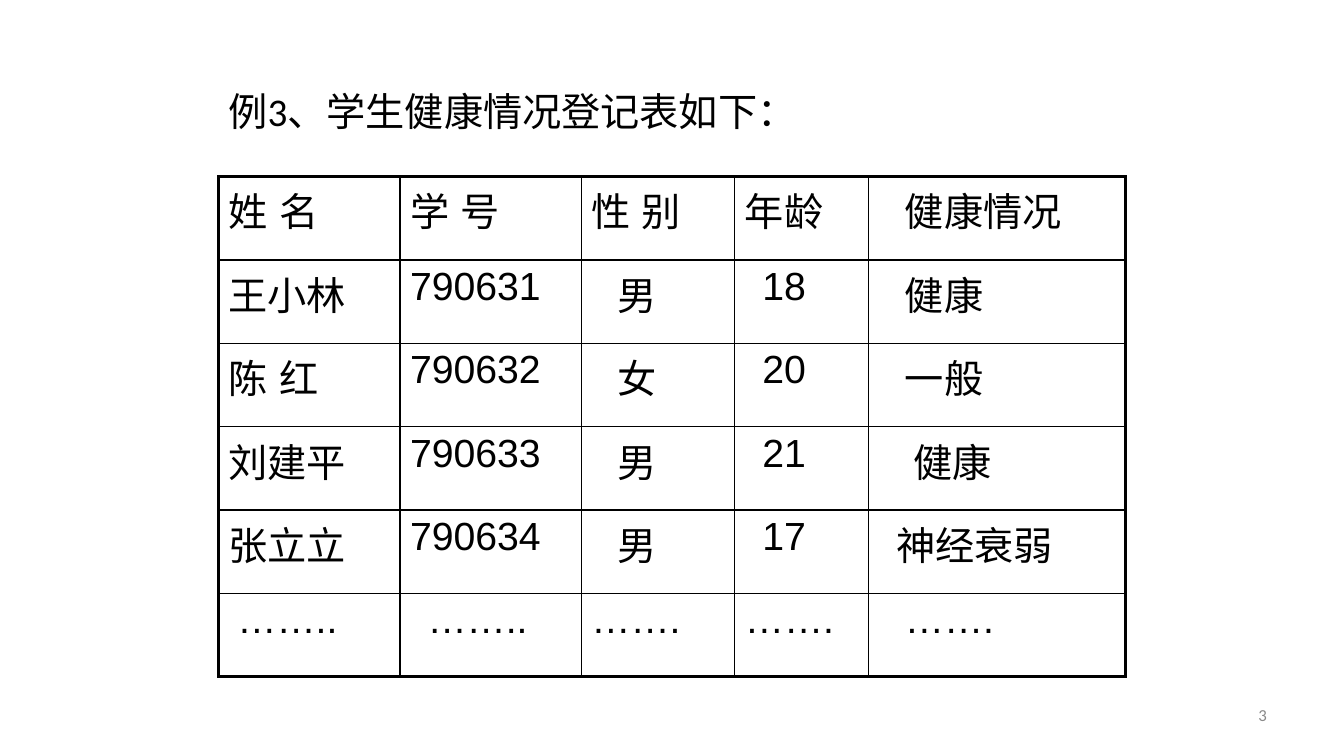
"""Build a slide with a table of student health records."""
from lxml import etree
from pptx import Presentation
from pptx import util as u
from pptx.dml import color
from pptx.enum import text
from pptx.oxml import ns


def style(paragraph, size, font_name, hex_colour):
    for run in paragraph.runs:
        run.font.size = u.Pt(size)
        run.font.name = font_name
        run.font.color.rgb = color.RGBColor.from_string(hex_colour)


def add_border(cell, side, position, width, hex_colour):
    line = etree.Element(ns.qn(f"a:ln{side}"), w=str(u.Pt(width)))
    fill = etree.SubElement(line, ns.qn("a:solidFill"))
    etree.SubElement(fill, ns.qn("a:srgbClr"), val=hex_colour)
    cell._tc.get_or_add_tcPr().insert(position, line)


BLACK, GREY = "000000", "898989"
SPACE_WIDTH = 0.22
CHARACTER_WIDTH = 0.99
COLUMN_WIDTHS = [4.57, 4.57, 3.87, 3.37, 6.48]
ROW_HEIGHT = 2.1
TAB_SPACES = {0: 3, 1: 4, 2: 3}

records = [
    ["姓\t名", "学\t号", "性\t别", "年龄", "健康情况"],
    ["王小林", "790631", "男", "18", "健康"],
    ["陈\t红", "790632", "女", "20", "一般"],
    ["刘建平", "790633", "男", "21", "健康"],
    ["张立立", "790634", "男", "17", "神经衰弱"],
    ["……..", "……..", "…….", "…….", "……."],
]
indents = [
    [0, 0, 0, 0, 3],
    [0, 0, 3, 2, 3],
    [0, 0, 3, 2, 3],
    [0, 0, 3, 2, 4],
    [0, 0, 3, 2, 2],
    [1, 2, 0, 0, 3],
]

presentation = Presentation()
presentation.slide_width = u.Cm(33.87)
presentation.slide_height = u.Cm(19.05)
slide = presentation.slides.add_slide(presentation.slide_layouts[6])

labels = [
    ("例3、学生健康情况登记表如下：", (5.51, 1.78, 22.86, 2.16), 28, BLACK, text.PP_ALIGN.LEFT, 0.9),
    ("3", (24.28, 17.35, 7.9, 1.32), 12, GREY, text.PP_ALIGN.RIGHT, 1.0),
]
for wording, place, size, colour, alignment, spacing in labels:
    frame = slide.shapes.add_textbox(*map(u.Cm, place)).text_frame
    frame.word_wrap = True
    frame.vertical_anchor = text.MSO_ANCHOR.MIDDLE
    frame.text = wording
    paragraph = frame.paragraphs[0]
    paragraph.alignment = alignment
    paragraph.line_spacing = spacing
    style(paragraph, size, "Calibri", colour)

row_count, column_count = len(records), len(COLUMN_WIDTHS)
table = slide.shapes.add_table(
    row_count, column_count, u.Cm(5.51), u.Cm(4.45),
    u.Cm(sum(COLUMN_WIDTHS)), u.Cm(ROW_HEIGHT * row_count),
).table
table.first_row = False
table.horz_banding = False
for column, width in zip(table.columns, COLUMN_WIDTHS):
    column.width = u.Cm(width)

for row_index, record in enumerate(records):
    table.rows[row_index].height = u.Cm(ROW_HEIGHT)
    for column_index, wording in enumerate(record):
        cell = table.cell(row_index, column_index)
        cell.fill.background()
        cell.text_frame.text = wording
        paragraph = cell.text_frame.paragraphs[0]
        style(paragraph, 28, "Arial", BLACK)

        properties = paragraph._p.get_or_add_pPr()
        indent = indents[row_index][column_index] * SPACE_WIDTH
        properties.set("marL", str(u.Cm(indent)))
        properties.set("indent", "0")
        space_before = etree.SubElement(properties, ns.qn("a:spcBef"))
        etree.SubElement(space_before, ns.qn("a:spcPct"), val="20000")
        if "\t" in wording:
            stop = u.Cm(CHARACTER_WIDTH + TAB_SPACES[column_index] * SPACE_WIDTH)
            tabs = etree.SubElement(properties, ns.qn("a:tabLst"))
            etree.SubElement(tabs, ns.qn("a:tab"), pos=str(stop), algn="l")

        outer_sides = {
            "L": column_index == 0,
            "R": column_index == column_count - 1,
            "T": row_index == 0,
            "B": row_index == row_count - 1,
        }
        for position, (side, is_outer) in enumerate(outer_sides.items()):
            add_border(cell, side, position, 2.25 if is_outer else 1, BLACK)

presentation.save("out.pptx")
